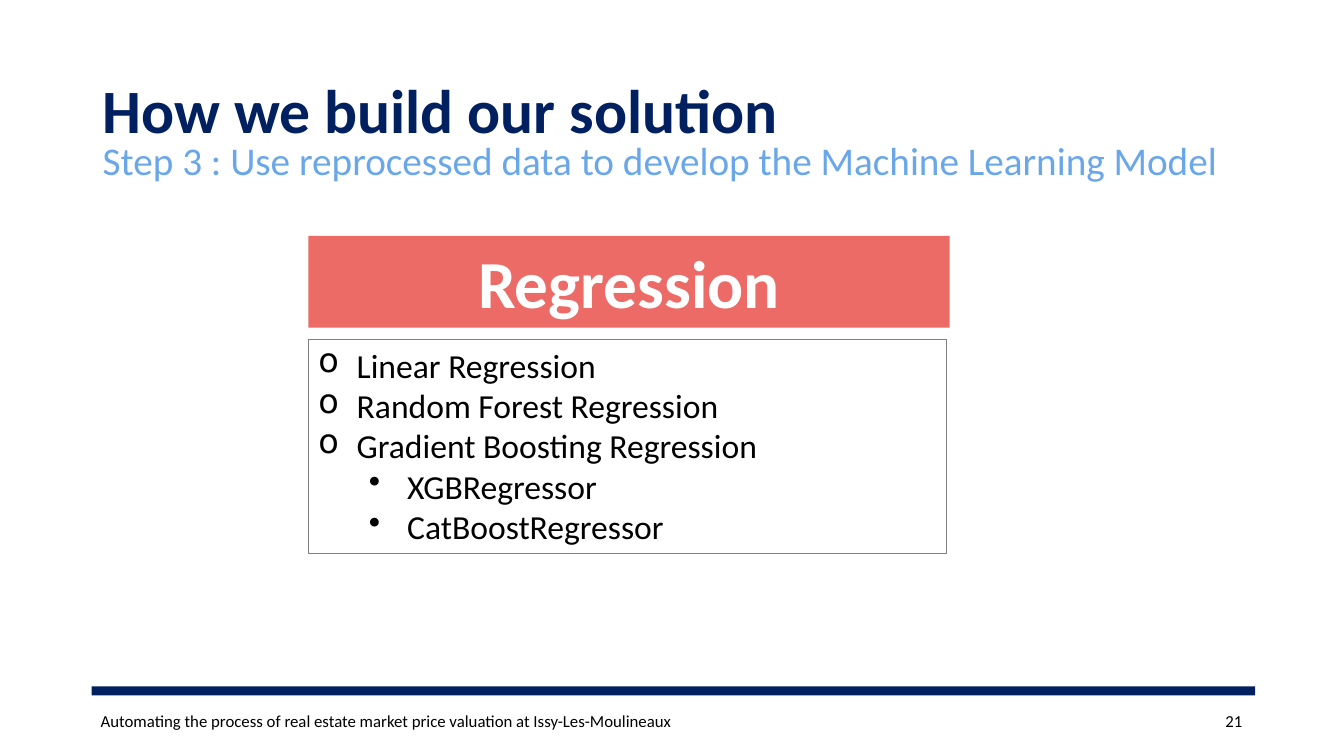
from pptx import Presentation
from pptx.dml.color import RGBColor
from pptx.enum.shapes import MSO_SHAPE as Shape
from pptx.enum.text import MSO_ANCHOR as Anchor, PP_ALIGN as Align
from pptx.oxml.ns import qn
from pptx.util import Inches, Pt
from lxml import etree

NAVY, SKY, CORAL = "002060", "6AA7E9", "EC6B66"
BLACK, WHITE, GREY = "000000", "FFFFFF", "808080"
MODELS = [
    ("Linear Regression", 0),
    ("Random Forest Regression", 0),
    ("Gradient Boosting Regression", 0),
    ("XGBRegressor", 1),
    ("CatBoostRegressor", 1),
]


def color(value):
    return RGBColor.from_string(value)


def write(paragraph, text, size, fill, bold=False, align=Align.LEFT, spacing=None):
    run = paragraph.add_run()
    run.text = text
    for name, value in {"name": "Calibri", "size": Pt(size), "bold": bold}.items():
        setattr(run.font, name, value)
    run.font.color.rgb = color(fill)
    paragraph.alignment = align
    if spacing:
        paragraph.line_spacing = spacing


def add_text(slide, box, text, size, fill, **styles):
    shape = slide.shapes.add_textbox(*map(Inches, box))
    frame = shape.text_frame
    frame.word_wrap = True
    frame.vertical_anchor = Anchor.MIDDLE
    write(frame.paragraphs[0], text, size, fill, **styles)


def add_box(slide, box, fill=None, line=None):
    shape = slide.shapes.add_shape(Shape.RECTANGLE, *map(Inches, box))
    shape.shadow.inherit = False
    if fill:
        shape.fill.solid()
        shape.fill.fore_color.rgb = color(fill)
    else:
        shape.fill.background()
    if line:
        shape.line.color.rgb = color(line)
        shape.line.width = Pt(0.75)
    else:
        shape.line.fill.background()
    shape.text_frame.word_wrap = True
    shape.text_frame.vertical_anchor = Anchor.TOP
    return shape


def set_bullet(paragraph, level):
    paragraph.level = level
    properties = paragraph._p.get_or_add_pPr()
    properties.set("marL", str(Inches(0.38 + 0.5 * level)))
    properties.set("indent", str(Inches(-0.38)))
    bullet = etree.SubElement(properties, qn("a:buChar"))
    bullet.set("char", "o•"[level])


def add_heading(slide, left, top, width):
    # Title with its step line below
    add_text(slide, (left, top, width, 1.45), "How we build our solution",
             44, NAVY, bold=True, spacing=0.9)
    add_text(slide, (left, top + 0.49, width, 1.45),
             "Step 3 : Use reprocessed data to develop the Machine Learning Model",
             28, SKY, spacing=0.9)


def add_regression_panel(slide, left, top, width):
    # Bordered list of models
    models = add_box(slide, (left, top + 1.03, width - 0.03, 2.12), line=GREY)
    frame = models.text_frame
    for index, (model, level) in enumerate(MODELS):
        paragraph = frame.add_paragraph() if index else frame.paragraphs[0]
        set_bullet(paragraph, level)
        write(paragraph, model, 24, BLACK)
    # Coloured header
    header = add_box(slide, (left, top, width, 0.91), fill=CORAL)
    write(header.text_frame.paragraphs[0], "Regression", 48, WHITE,
          bold=True, align=Align.CENTER)


def add_footer(slide, left, top, width):
    # Rule, project name and page number
    add_box(slide, (left, top, width, 0.09), fill=NAVY)
    add_text(slide, (left - 0.01, top + 0.14, 6.35, 0.4),
             "Automating the process of real estate market price valuation"
             " at Issy-Les-Moulineaux", 12, BLACK)
    add_text(slide, (left + width - 3.03, top + 0.14, 3, 0.4), "21", 12, BLACK,
             align=Align.RIGHT)


def main():
    presentation = Presentation()
    presentation.slide_width = Inches(13.33)
    presentation.slide_height = Inches(7.5)
    slide = presentation.slides.add_slide(presentation.slide_layouts[6])
    add_footer(slide, 0.91, 6.81, 11.54)
    add_heading(slide, 0.92, 0.4, 11.5)
    add_regression_panel(slide, 3.06, 2.34, 6.36)
    presentation.save("out.pptx")


if __name__ == "__main__":
    main()
